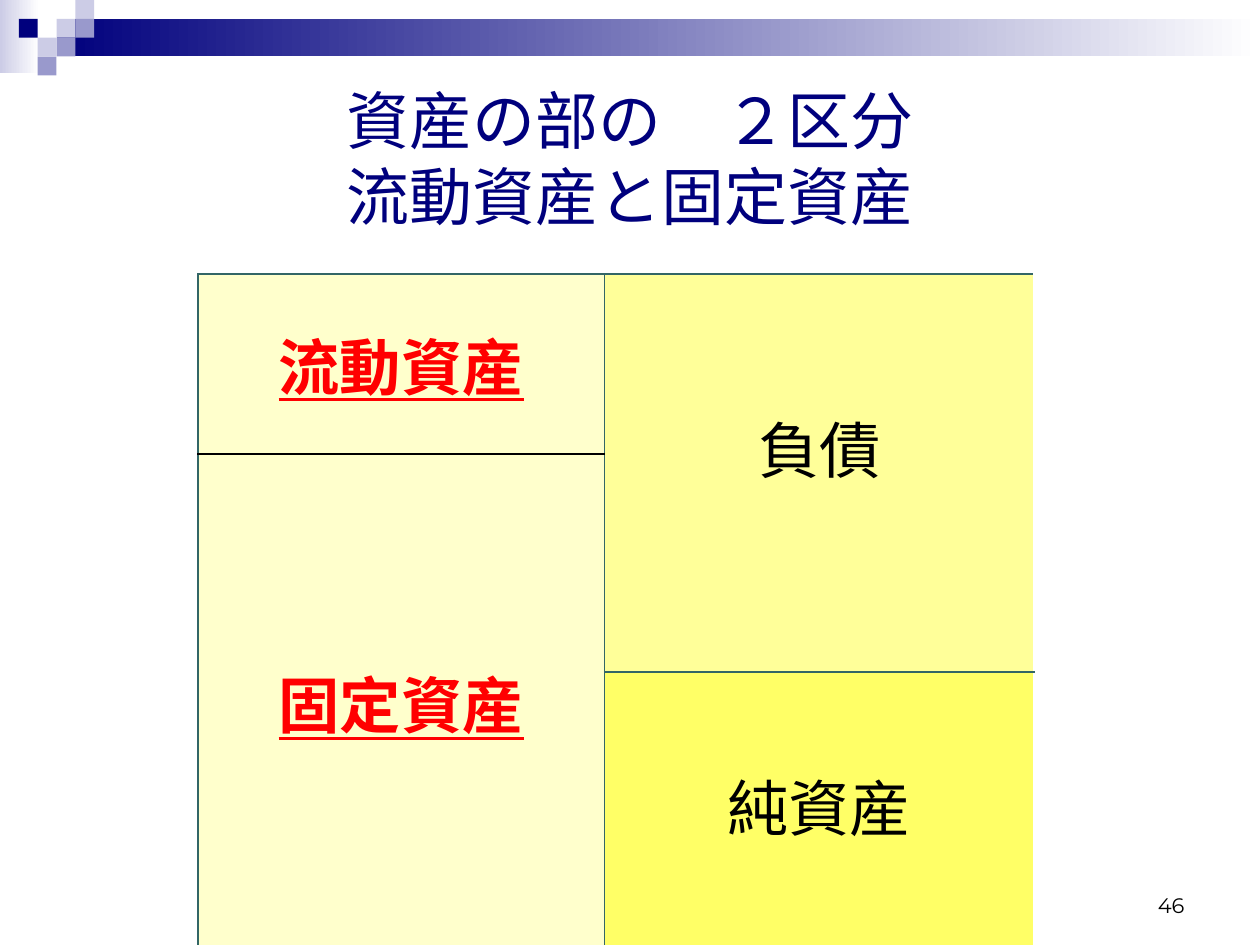
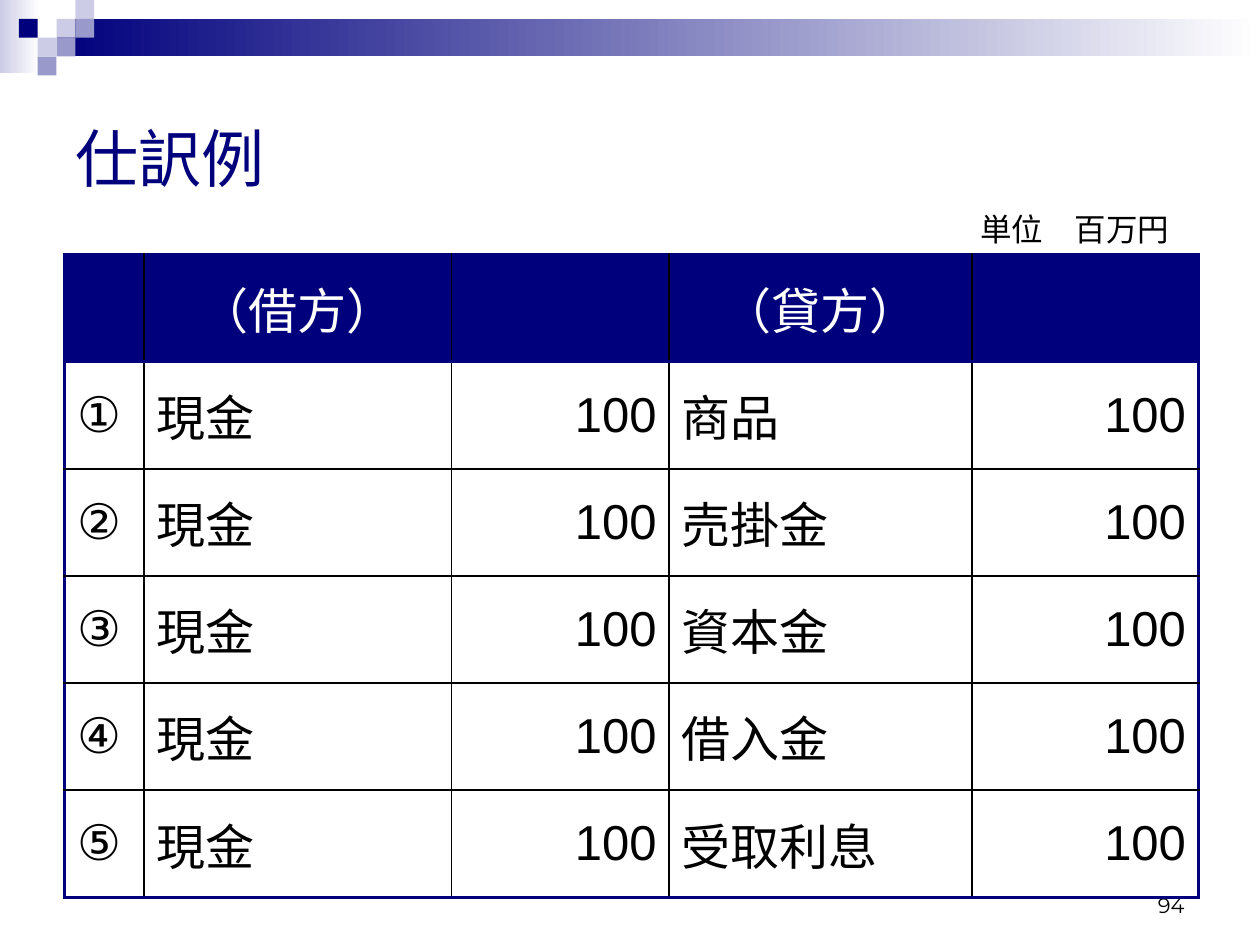
"""Builds two accounting slides: the halves of the assets section and sample journal entries."""
from lxml.etree import SubElement
from pptx import Presentation
from pptx.dml.color import RGBColor
from pptx.enum.shapes import MSO_SHAPE as Shape
from pptx.enum.text import MSO_ANCHOR as Anchor, PP_ALIGN as Align
from pptx.oxml.ns import qn
from pptx.util import Cm, Pt

NAVY, LILAC, VIOLET = "00007D", "CCCCE6", "9999CC"
BLACK, WHITE, RED, TEAL = "000000", "FFFFFF", "FF0000", "336666"
UNIT = 0.38
GRADIENTS = [((0, 0, 0.79, 1.47), LILAC), ((1.14, 0.38, 24.26, 0.76), NAVY)]
SQUARES = [(3, 1, LILAC), (4, 0, LILAC), (4, 1, VIOLET), (2, 2, LILAC),
           (1, 1, NAVY), (3, 2, VIOLET), (2, 3, VIOLET)]

TITLE_BOX = (1.27, 1.27, 22.86, 3.81)
NUMBER_BOX = (18.21, 17.35, 5.92, 1.27)
UNIT_BOX = (19.51, 4.11, 4.8, 1.02)
TITLE_FONT = {"name": "Arial", "size": Pt(36), "color": NAVY}
NUMBER_FONT = {"name": "Montserrat", "size": Pt(12), "color": BLACK}
UNIT_FONT = {"name": "Arial", "size": Pt(18), "color": BLACK}
BALANCE_FONT = {"name": "Arial", "size": Pt(35), "color": BLACK}
ASSET_FONT = BALANCE_FONT | {"color": RED, "bold": True, "underline": True}
ENTRY_FONT = {"name": "Arial", "size": Pt(28), "color": BLACK}
HEADER_FONT = ENTRY_FONT | {"color": WHITE}

BALANCE_PLACE = (-0.61, 5.52)
BALANCE_COLUMNS = [4.6, 8.2, 8.66, 4.52]
BALANCE_ROWS = [3.63, 4.4, 5.61]
BALANCE_BLOCKS = [
    (0, 0, 1, "流動資産", "FFFFCC", ASSET_FONT, 0.13),
    (1, 2, 1, "固定資産", "FFFFCC", ASSET_FONT, 0.13),
    (0, 1, 2, "負債", "FFFF99", BALANCE_FONT, 1.2),
    (2, 2, 2, "純資産", "FFFF66", BALANCE_FONT, 0.4),
]

ENTRY_PLACE = (1.3, 5.13)
ENTRY_COLUMNS = [1.6, 6.2, 4.39, 6.1, 4.57]
ENTRY_ROW = 2.16
ENTRY_ALIGNS = [Align.LEFT, Align.LEFT, Align.RIGHT, Align.LEFT, Align.RIGHT]
ENTRIES = [
    ("", "（借方）", "", "（貸方）", ""),
    ("①", "現金", "100", "商品", "100"),
    ("②", "現金", "100", "売掛金", "100"),
    ("③", "現金", "100", "資本金", "100"),
    ("④", "現金", "100", "借入金", "100"),
    ("⑤", "現金", "100", "受取利息", "100"),
]


def color(value):
    return RGBColor.from_string(value)


def paint(fill, value):
    fill.solid()
    fill.fore_color.rgb = color(value)


def write(frame, text, font, align=Align.LEFT):
    paragraph = frame.paragraphs[0]
    paragraph.text = text
    paragraph.alignment = align
    for run in paragraph.runs:
        for name, value in font.items():
            if name == "color":
                run.font.color.rgb = color(value)
            else:
                setattr(run.font, name, value)


def add_text(slide, box, text, font, align=Align.LEFT, anchor=Anchor.TOP):
    frame = slide.shapes.add_textbox(*map(Cm, box)).text_frame
    frame.word_wrap = True
    frame.vertical_anchor = anchor
    write(frame, text, font, align)


def add_rectangle(slide, box):
    shape = slide.shapes.add_shape(Shape.RECTANGLE, *map(Cm, box))
    shape.shadow.inherit = False
    shape.line.fill.background()
    return shape


def add_slide(presentation, title, number, title_align):
    slide = presentation.slides.add_slide(presentation.slide_layouts[6])
    for box, start in GRADIENTS:
        fill = add_rectangle(slide, box).fill
        fill.gradient()
        fill.gradient_angle = 0
        for stop, value in zip(fill.gradient_stops, (start, WHITE)):
            stop.color.rgb = color(value)
    for column, row, value in SQUARES:
        box = (column * UNIT, row * UNIT, UNIT, UNIT)
        paint(add_rectangle(slide, box).fill, value)
    add_text(slide, NUMBER_BOX, number, NUMBER_FONT, Align.RIGHT, Anchor.BOTTOM)
    add_text(slide, TITLE_BOX, title, TITLE_FONT, title_align, Anchor.MIDDLE)
    return slide


def add_table(slide, place, columns, rows):
    size = (sum(columns), sum(rows))
    frame = slide.shapes.add_table(len(rows), len(columns), *map(Cm, place + size))
    table = frame.table
    table.first_row = table.horz_banding = False
    for column, width in zip(table.columns, columns):
        column.width = Cm(width)
    for row, height in zip(table.rows, rows):
        row.height = Cm(height)
    for cell in table.iter_cells():
        cell.fill.background()
        cell.vertical_anchor = Anchor.MIDDLE
    return table


def set_borders(cell, borders):
    properties = cell._tc.get_or_add_tcPr()
    sides = [side for side in "LRTB" if side in borders]
    for position, side in enumerate(sides):
        value, width = borders[side]
        line = SubElement(properties, qn(f"a:ln{side}"), w=str(Pt(width)))
        fill = SubElement(line, qn("a:solidFill"))
        SubElement(fill, qn("a:srgbClr"), val=value)
        properties.insert(position, line)


def add_balance_sheet(slide):
    table = add_table(slide, BALANCE_PLACE, BALANCE_COLUMNS, BALANCE_ROWS)
    last_row = len(BALANCE_ROWS) - 1
    for column in (0, len(BALANCE_COLUMNS) - 1):
        table.cell(0, column).merge(table.cell(last_row, column))
    for top, bottom, column, text, fill, font, margin in BALANCE_BLOCKS:
        for row in range(top, bottom + 1):
            cell = table.cell(row, column)
            paint(cell.fill, fill)
            borders = {"L": (TEAL, 1), "R": (TEAL, 1)}
            divider = BLACK if column == 1 else TEAL
            if row == top:
                borders["T"] = (divider if row else TEAL, 1)
            if row == bottom:
                borders["B"] = (TEAL if row == last_row else divider, 1)
            set_borders(cell, borders)
        block = table.cell(top, column)
        if bottom > top:
            block.merge(table.cell(bottom, column))
        block.margin_bottom = Cm(margin)
        write(block.text_frame, text, font, Align.CENTER)


def add_journal(slide):
    table = add_table(slide, ENTRY_PLACE, ENTRY_COLUMNS, [ENTRY_ROW] * len(ENTRIES))
    last_row, last_column = len(ENTRIES) - 1, len(ENTRY_COLUMNS) - 1
    thick, thin = (NAVY, 2.25), (BLACK, 1)
    for row, entry in enumerate(ENTRIES):
        for column, text in enumerate(entry):
            cell = table.cell(row, column)
            header = row == 0
            paint(cell.fill, NAVY if header else WHITE)
            set_borders(cell, {
                "L": thick if column == 0 else thin,
                "R": thick if column == last_column else thin,
                "T": thick if row <= 1 else thin,
                "B": thick if row in (0, last_row) else thin,
            })
            write(cell.text_frame, text, HEADER_FONT if header else ENTRY_FONT,
                  Align.CENTER if header else ENTRY_ALIGNS[column])


def main():
    presentation = Presentation()
    presentation.slide_width, presentation.slide_height = Cm(25.4), Cm(19.05)
    add_balance_sheet(add_slide(
        presentation, "資産の部の　２区分\v流動資産と固定資産", "46", Align.CENTER))
    journal_slide = add_slide(presentation, "仕訳例", "94", Align.LEFT)
    add_journal(journal_slide)
    add_text(journal_slide, UNIT_BOX, "単位　百万円", UNIT_FONT)
    presentation.save("out.pptx")


if __name__ == "__main__":
    main()
